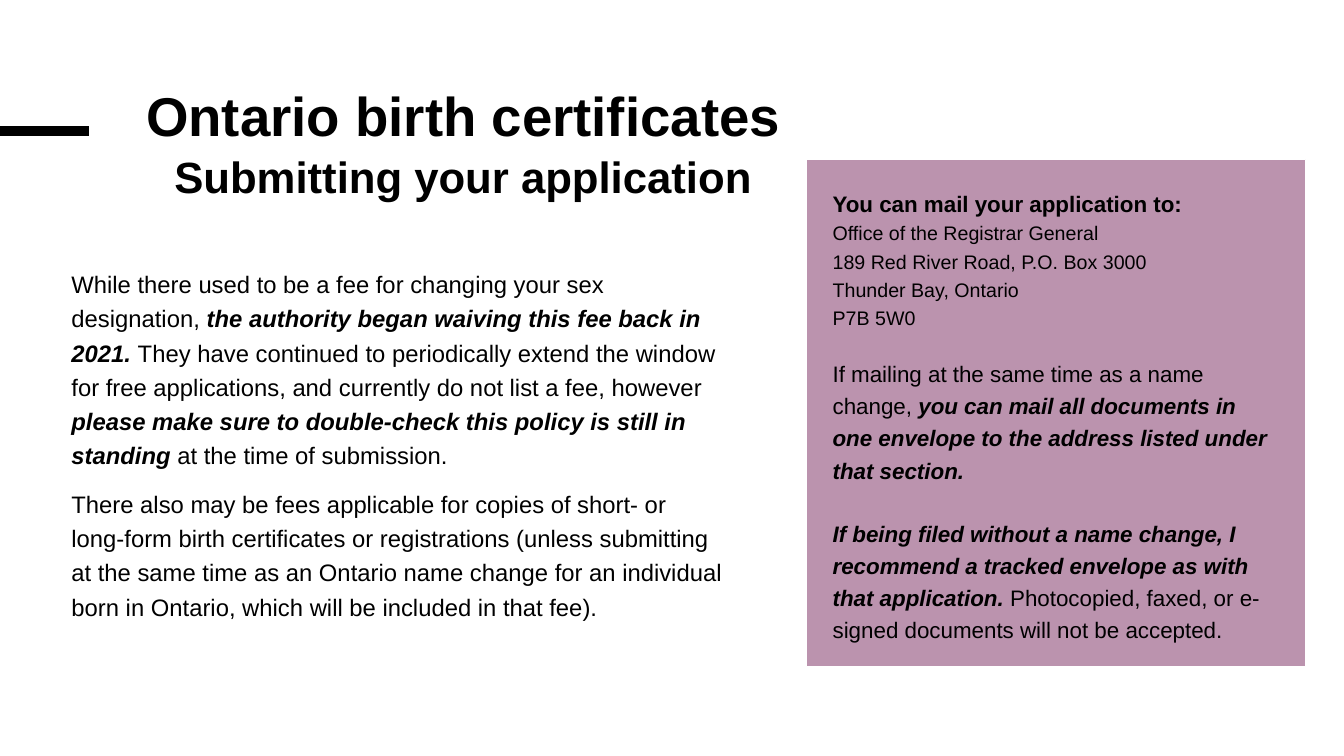
from lxml import etree
from pptx import Presentation
from pptx.dml.color import RGBColor
from pptx.enum.shapes import MSO_CONNECTOR, MSO_SHAPE
from pptx.enum.text import MSO_ANCHOR, PP_ALIGN
from pptx.oxml.ns import qn
from pptx.util import Inches, Pt

TOP, MIDDLE, BOTTOM = MSO_ANCHOR.TOP, MSO_ANCHOR.MIDDLE, MSO_ANCHOR.BOTTOM
LEFT = PP_ALIGN.LEFT
STRAIGHT, RECT = MSO_CONNECTOR.STRAIGHT, MSO_SHAPE.RECTANGLE
WIDE, HIGH = 13.33, 7.5
FONT = "Arial"
COLORS = {"ink": "000000", "panel": "BB93AE", "edge": "FFFFFF"}

# Each paragraph: size, space before, runs of (text, strong)
FEES = [
    (17, 0, [
        ("While there used to be a fee for changing your sex designation, ", False),
        ("the authority began waiving this fee back in 2021. ", True),
        ("They have continued to periodically extend the window for free "
         "applications, and currently do not list a fee, however ", False),
        ("please make sure to double-check this policy is still in standing", True),
        (" at the time of submission.", False)]),
    (17, 10, [
        ("There also may be fees applicable for copies of short- or long-form "
         "birth certificates or registrations (unless submitting at the same "
         "time as an Ontario name change for an individual born in Ontario, "
         "which will be included in that fee).", False)]),
]
ADDRESS = ["Office of the Registrar General", "189 Red River Road, P.O. Box 3000",
           "Thunder Bay, Ontario", "P7B 5W0"]
ADVICE = [
    (16, 18, [
        ("If mailing at the same time as a name change, ", False),
        ("you can mail all documents in one envelope to the address listed "
         "under that section.", True)]),
    (16, 22, [
        ("If being filed without a name change, I recommend a tracked envelope "
         "as with that application.", True),
        (" Photocopied, faxed, or e-signed documents will not be accepted.", False)]),
]


def color(name):
    return RGBColor.from_string(COLORS[name])


def style(para, size, space, bold=None):
    para.alignment = LEFT
    para.line_spacing = space
    font = para.font
    font.name, font.size, font.bold = FONT, Pt(size), bold
    font.color.rgb = color("ink")


def frame(shape, anchor):
    text = shape.text_frame
    text.word_wrap = True
    text.vertical_anchor = anchor
    return text


def text_box(slide, box, anchor=TOP):
    return frame(slide.shapes.add_textbox(*map(Inches, box)), anchor)


def fill_text(text, paras):
    for i, (size, gap, runs) in enumerate(paras):
        para = text.add_paragraph() if i else text.paragraphs[0]
        style(para, size, 1.2)
        para.space_before = Pt(gap)
        for words, strong in runs:
            run = para.add_run()
            run.text = words
            if strong:
                run.font.bold = run.font.italic = True


def header(slide, box):
    left, top, width, height = box
    # Title
    title = slide.shapes.title
    title.left, title.top, title.width, title.height = map(Inches, box)
    text = frame(title, MIDDLE)
    text.text = "Ontario birth certificates"
    style(text.paragraphs[0], 39, 0.85, True)
    # Subtitle
    text = text_box(slide, (left + 0.28, top + 0.74, 6.82, 0.52), BOTTOM)
    text.text = "Submitting your application"
    style(text.paragraphs[0], 31.2, 0.75, True)
    # Accent bar from the slide edge
    y = Inches(top + 0.51)
    bar = slide.shapes.add_connector(STRAIGHT, 0, y, Inches(0.88), y)
    bar.line.color.rgb = color("ink")
    bar.line.width = Pt(6.75)
    etree.SubElement(bar._element.spPr, qn("a:effectLst"))


def fees(slide, box):
    fill_text(text_box(slide, box), FEES)


def mailing(slide, box):
    left, top, width, height = box
    # Panel
    panel = slide.shapes.add_shape(RECT, *map(Inches, box))
    panel.shadow.inherit = False
    panel.fill.solid()
    panel.fill.fore_color.rgb = color("panel")
    panel.line.color.rgb = color("edge")
    panel.line.width = Pt(0.75)
    # Heading, address and advice
    text = text_box(slide, (left + 0.16, top + 0.2, width - 0.42, height - 0.33))
    lines = [(14, 0, [(line, False)]) for line in ADDRESS]
    head = (16, 0, [("You can mail your application to:", False)])
    fill_text(text, [head, *lines, *ADVICE])
    text.paragraphs[0].font.bold = True


def main():
    deck = Presentation()
    deck.slide_width, deck.slide_height = Inches(WIDE), Inches(HIGH)
    slide = deck.slides.add_slide(deck.slide_layouts.get_by_name("Title Only"))
    header(slide, (1.35, 0.79, 10.92, 0.79))
    fees(slide, (0.61, 2.57, 6.68, 3.91))
    mailing(slide, (8, 1.58, 4.95, 5.03))
    deck.save("out.pptx")


if __name__ == "__main__":
    main()
